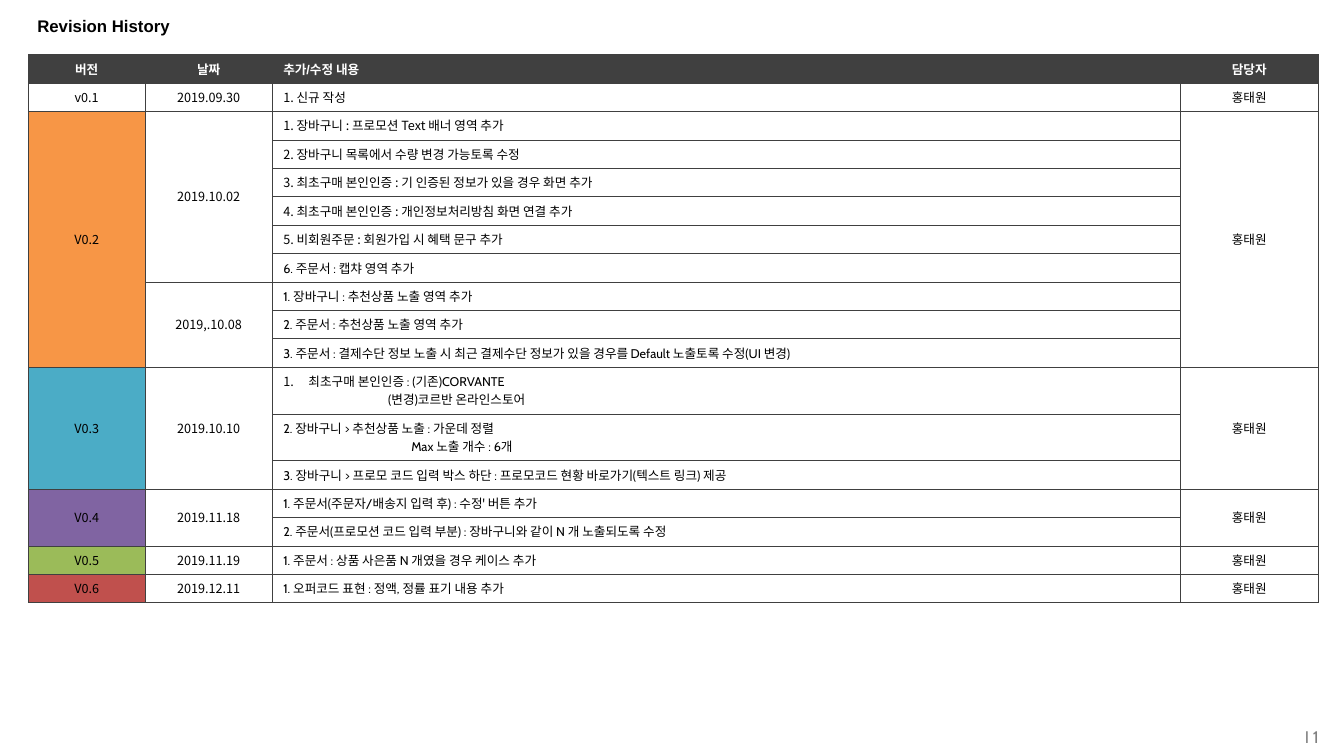
from lxml import etree
from pptx import Presentation
from pptx.dml.color import RGBColor
from pptx.enum.text import MSO_ANCHOR, PP_ALIGN
from pptx.oxml.ns import qn
from pptx.util import Inches, Pt

LEFT, CENTER, RIGHT = PP_ALIGN.LEFT, PP_ALIGN.CENTER, PP_ALIGN.RIGHT
MIDDLE = MSO_ANCHOR.MIDDLE
ARIAL, CABIN, NOTO = "Arial", "Cabin", "Noto Sans CJK KR"
DARK, BLACK, WHITE, GRAY = "404040", "000000", "FFFFFF", "808080"


def line(*runs, font=CABIN, left=0, numbered=False):
    """One line of a note; a run is a text or a (text, font) pair."""
    pairs = [r if isinstance(r, tuple) else (r, font) for r in runs]
    return {"runs": pairs, "left": left, "numbered": numbered}


HEADERS = ["버전", "날짜", "추가/수정 내용", "담당자"]
OWNER = "홍태원"
# version, fill, [(date, [note, ...]), ...]; a note is a list of lines
RELEASES = [
    ("v0.1", None, [("2019.09.30", [[line("1. 신규 작성", font=NOTO)]])]),
    ("V0.2", "F79646", [
        ("2019.10.02", [
            [line("1. 장바구니 : 프로모션 Text 배너 영역 추가", font=NOTO)],
            [line("2. 장바구니 목록에서 수량 변경 가능토록 수정", font=NOTO)],
            [line("3. 최초구매 본인인증 : 기 인증된 정보가 있을 경우 화면 추가", font=NOTO)],
            [line("4. 최초구매 본인인증 : 개인정보처리방침 화면 연결 추가", font=NOTO)],
            [line(("5. 비회원주문 : ", NOTO), "회원가입 시 혜택 문구 추가")],
            [line("6. 주문서 : 캡챠 영역 추가")],
        ]),
        ("2019,.10.08", [
            [line("1. 장바구니 : 추천상품 노출 영역 추가")],
            [line("2. 주문서 : 추천상품 노출 영역 추가")],
            [line("3. 주문서 : 결제수단 정보 노출 시 최근 결제수단 정보가 있을 경우를 "
                  "Default 노출토록 수정(UI 변경)")],
        ]),
    ]),
    ("V0.3", "4BACC6", [("2019.10.10", [
        [line("최초구매 본인인증 : (기존)CORVANTE", left=0.25, numbered=True),
         line("(변경)코르반 온라인스토어", left=1.04)],
        [line("2. 장바구니 > 추천상품 노출 : 가운데 정렬"),
         line("Max 노출 개수 : 6개", left=1.27)],
        [line("3. 장바구니 > 프로모 코드 입력 박스 하단 : 프로모코드 현황 바로가기(텍스트 링크) 제공")],
    ])]),
    ("V0.4", "8064A2", [("2019.11.18", [
        [line("1. 주문서(주문자/배송지 입력 후) : 수정' 버튼 추가")],
        [line("2. 주문서(프로모션 코드 입력 부분) : 장바구니와 같이 N 개 노출되도록 수정")],
    ])]),
    ("V0.5", "9BBB59", [("2019.11.19", [[line("1. 주문서 : 상품 사은품 N 개였을 경우 케이스 추가")]])]),
    ("V0.6", "C0504D", [("2019.12.11", [[line("1. 오퍼코드 표현 : 정액, 정률 표기 내용 추가")]])]),
]
COL_WIDTHS = [1.16, 1.26, 9.01, 1.36]
ROW_HEIGHT = 0.26


def rgb(value):
    return RGBColor.from_string(value)


def add_run(p, text, font=NOTO, size=9, color=BLACK, bold=False):
    r = p.add_run()
    r.text = text
    r.font.name, r.font.size, r.font.bold = font, Pt(size), bold
    r.font.color.rgb = rgb(color)
    etree.SubElement(r.font._element, qn("a:ea"), typeface=NOTO)


def write(tf, text, align=LEFT, **fmt):
    p = tf.paragraphs[0]
    p.alignment = align
    add_run(p, text, **fmt)


def write_note(tf, lines):
    for i, item in enumerate(lines):
        p = tf.add_paragraph() if i else tf.paragraphs[0]
        pPr = p._p.get_or_add_pPr()
        pPr.set("marL", str(Inches(item["left"])))
        if item["numbered"]:
            pPr.set("indent", str(-Inches(item["left"])))
            etree.SubElement(pPr, qn("a:buFont"), typeface=CABIN)
            etree.SubElement(pPr, qn("a:buAutoNum"), type="arabicPeriod")
        for text, font in item["runs"]:
            add_run(p, text, font=font)


def style_cell(cell, fill=None):
    """Set anchor, margins, thin dark borders and the fill."""
    cell.vertical_anchor = MIDDLE
    cell.margin_left = cell.margin_right = Inches(0.11)
    cell.margin_top = cell.margin_bottom = Inches(0.05)
    tcPr = cell._tc.get_or_add_tcPr()
    for side in ("lnL", "lnR", "lnT", "lnB"):
        ln = etree.SubElement(tcPr, qn(f"a:{side}"), w=str(Pt(0.25)))
        solid = etree.SubElement(ln, qn("a:solidFill"))
        etree.SubElement(solid, qn("a:srgbClr"), val=DARK)
    if fill:
        cell.fill.solid()
        cell.fill.fore_color.rgb = rgb(fill)
    else:
        cell.fill.background()


def fill_span(table, col, first, count, text):
    """Write centred text in a column cell spanning count rows."""
    cell = table.cell(first, col)
    if count > 1:
        cell.merge(table.cell(first + count - 1, col))
    write(cell.text_frame, text, align=CENTER)


def add_history(s):
    rows = 1 + sum(len(notes) for _, _, dates in RELEASES for _, notes in dates)
    table = s.shapes.add_table(rows, len(HEADERS), Inches(0.28), Inches(0.54),
                               Inches(sum(COL_WIDTHS)), Inches(rows * ROW_HEIGHT)).table
    table.horz_banding = False
    for col, width in zip(table.columns, COL_WIDTHS):
        col.width = Inches(width)
    for row in table.rows:
        row.height = Inches(ROW_HEIGHT)
    for c, header in enumerate(HEADERS):
        style_cell(table.cell(0, c), DARK)
        write(table.cell(0, c).text_frame, header, align=LEFT if c == 2 else CENTER,
              font=ARIAL, color=WHITE, bold=True)
    row = 1
    for version, fill, dates in RELEASES:
        start = row
        for date, notes in dates:
            fill_span(table, 1, row, len(notes), date)
            for note in notes:
                for c in range(len(HEADERS)):
                    style_cell(table.cell(row, c), fill if c == 0 else None)
                write_note(table.cell(row, 2).text_frame, note)
                row += 1
        fill_span(table, 0, start, row - start, version)
        fill_span(table, 3, start, row - start, OWNER)


def main():
    prs = Presentation()
    prs.slide_width, prs.slide_height = Inches(13.33), Inches(7.5)
    s = prs.slides.add_slide(prs.slide_layouts[5])

    title = s.shapes.title
    title.left, title.top = Inches(0.27), Inches(0.07)
    title.width, title.height = Inches(12.79), Inches(0.38)
    title.text_frame.vertical_anchor = MIDDLE
    write(title.text_frame, "Revision History", font=ARIAL, size=12, bold=True)

    add_history(s)

    tf = s.shapes.add_textbox(Inches(11.15), Inches(7.11), Inches(1.93), Inches(0.39)).text_frame
    tf.word_wrap = True
    tf.vertical_anchor = MIDDLE
    tf.margin_left = tf.margin_right = tf.margin_top = tf.margin_bottom = 0
    write(tf, "I 1", align=RIGHT, font=CABIN, size=12, color=GRAY)
    prs.save("out.pptx")


if __name__ == "__main__":
    main()
